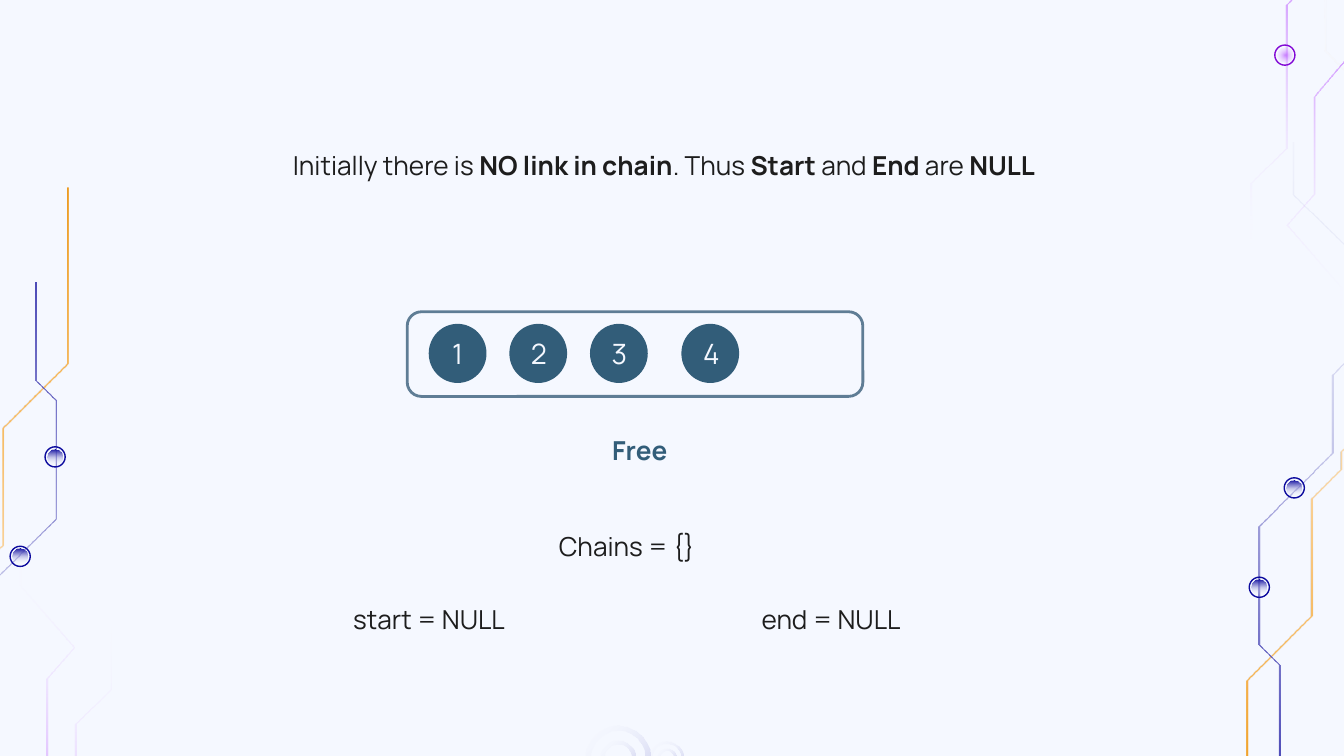
from dataclasses import dataclass
from math import cos, radians, sin

from pptx import Presentation
from pptx.dml.color import RGBColor
from pptx.enum.shapes import MSO_SHAPE
from pptx.enum.text import MSO_ANCHOR, MSO_AUTO_SIZE, PP_ALIGN
from pptx.oxml import parse_xml
from pptx.oxml.ns import nsdecls, qn
from pptx.util import Inches, Pt

OVAL, DONUT, ROUNDED = MSO_SHAPE.OVAL, MSO_SHAPE.DONUT, MSO_SHAPE.ROUNDED_RECTANGLE
CENTER, TOP, MIDDLE = PP_ALIGN.CENTER, MSO_ANCHOR.TOP, MSO_ANCHOR.MIDDLE
NO_AUTOFIT = MSO_AUTO_SIZE.NONE


@dataclass(frozen=True)
class Theme:
    font: str = "Manrope"
    background: str = "F5F8FF"
    ink: str = "1D1D1D"
    teal: str = "325D79"
    frame: str = "5F7D95"
    violet: str = "8208D5"
    indigo: str = "0C0A9E"
    body_size: float = 14
    chip_size: float = 15
    # Gradient stops: position %, colour, opacity %
    amber_fade: tuple = ((0, "EB9109", 100), (40, "FF9900", 41), (100, "FFFFFF", 0))
    indigo_fade: tuple = ((0, "0C0A9E", 100), (100, "FFFFFF", 0))
    violet_fade: tuple = ((0, "9900FF", 47), (100, "FFFFFF", 0))
    ring_fade: tuple = ((0, "0C0A9E", 20), (100, "FFFFFF", 0))


THEME = Theme()
HALF_TRACE = Inches(0.01) * 0.7

# Trace points in inches from the top left of their region
AMBER_TRACE = [(1.25, 0), (1.25, 1.31), (0.77, 1.79), (0.77, 2.66), (0.55, 2.88),
               (0.55, 3.01), (0.43, 3.13), (0.43, 3.67), (0.19, 3.91), (0.19, 4.27),
               (0.01, 4.44), (0.01, 5.32), (0.67, 5.99), (0.67, 6.75)]
INDIGO_TRACE = [(1.01, 0.7), (1.01, 1.43), (1.16, 1.58), (1.16, 2.46), (0.62, 3),
                (0.62, 3.58), (0.38, 3.83), (0.38, 4.4), (0.91, 4.92), (0.91, 5.31)]
INDIGO_NODES = [(1.16, 2), (0.9, 2.74)]
VIOLET_TRACES = [
    [(0.63, 0), (0.27, 0.36), (0.27, 1.42), (0.01, 1.68), (0.01, 2.16)],
    [(1.02, 0.4), (0.48, 1.04), (0.48, 1.76), (0.28, 1.99), (0.68, 2.45), (0.68, 2.68)],
]


def rgb(color):
    return RGBColor.from_string(color)


def fade(shape, stops, angle=None):
    """Gradient with opacity; no angle means radial from the centre."""
    marks = "".join(
        f'<a:gs pos="{pos * 1000}"><a:srgbClr val="{color}">'
        f'<a:alpha val="{alpha * 1000}"/></a:srgbClr></a:gs>'
        for pos, color, alpha in stops)
    if angle is None:
        course = ('<a:path path="circle"><a:fillToRect l="50000" t="50000" '
                  'r="50000" b="50000"/></a:path>')
    else:
        course = f'<a:lin ang="{angle * 60000}" scaled="0"/>'
    shape.fill.solid()
    properties = shape._element.spPr
    properties.replace(properties.find(qn("a:solidFill")), parse_xml(
        f'<a:gradFill {nsdecls("a")}><a:gsLst>{marks}</a:gsLst>{course}</a:gradFill>'))


def add_plain(slide, kind, left, top, width, height, line=None, weight=0.75):
    shape = slide.shapes.add_shape(
        kind, Inches(left), Inches(top), Inches(width), Inches(height))
    shape.shadow.inherit = False
    shape.fill.background()
    if line:
        shape.line.color.rgb = rgb(line)
        shape.line.width = Pt(weight)
    else:
        shape.line.fill.background()
    return shape


def add_runs(paragraph, runs, color, size):
    for text, bold in runs:
        run = paragraph.add_run()
        run.text = text
        run.font.name = THEME.font
        run.font.size = Pt(size)
        run.font.bold = bold
        run.font.color.rgb = rgb(color)


def locate(box, point, turned):
    """Region point to slide point, turned by half a circle if asked."""
    left, top, width, height = box
    x, y = point
    return (left + width - x, top + height - y) if turned else (left + x, top + y)


def rotate(point, degrees):
    x, y = point
    c, s = cos(radians(degrees)), sin(radians(degrees))
    return x * c - y * s, x * s + y * c


def add_trace(slide, box, points, stops, angle, rotation, turned):
    centers = [map(Inches, locate(box, point, turned)) for point in points]
    centers = [tuple(center) for center in centers]
    edge = ([(x - HALF_TRACE, y) for x, y in centers]
            + [(x + HALF_TRACE, y) for x, y in centers[::-1]])
    # Draw upright, then rotate the shape so that its gradient turns with it
    rotation += 180 if turned else 0
    outline = [rotate(point, -rotation) for point in edge]
    builder = slide.shapes.build_freeform(*outline[0])
    builder.add_line_segments(outline[1:], close=True)
    trace = builder.convert_to_shape()
    half_width, half_height = trace.width / 2, trace.height / 2
    x, y = rotate((trace.left + half_width, trace.top + half_height), rotation)
    trace.left, trace.top = round(x - half_width), round(y - half_height)
    trace.rotation = rotation
    trace.shadow.inherit = False
    trace.line.fill.background()
    fade(trace, stops, angle)


def add_node(slide, center, line, stops, angle=None):
    x, y = center
    add_plain(slide, OVAL, x - 0.075, y - 0.075, 0.15, 0.15, line)
    fade(add_plain(slide, OVAL, x - 0.055, y - 0.055, 0.11, 0.11), stops, angle)


def add_long_circuit(slide, box, turned=False):
    add_trace(slide, box, AMBER_TRACE, THEME.amber_fade, 45, 45, turned)
    add_trace(slide, box, INDIGO_TRACE, THEME.indigo_fade, 90, 45, turned)
    for node in INDIGO_NODES:
        add_node(slide, locate(box, node, turned), THEME.indigo, THEME.indigo_fade, 90)


def add_violet_circuit(slide, box, turned=False):
    for points in VIOLET_TRACES:
        add_trace(slide, box, points, THEME.violet_fade, 90, 0, turned)
    if not turned:
        add_node(slide, locate(box, (0.26, 0.73), turned), THEME.violet, THEME.violet_fade)


def add_rings(slide, box):
    left, top = box[:2]
    for x, size, band in ((0.24, 0.48, 0.04), (0.24, 0.26, 0.03),
                          (0.6, 0.25, 0.02), (0.6, 0.14, 0.02)):
        ring = add_plain(slide, DONUT, left + x - size / 2, top + 0.24 - size / 2, size, size)
        ring.adjustments[0] = band / size
        fade(ring, THEME.ring_fade, 225)


def set_frame(frame, anchor):
    frame.word_wrap = True
    frame.auto_size = NO_AUTOFIT
    frame.vertical_anchor = anchor
    frame.margin_left = frame.margin_right = Inches(0.1)
    frame.margin_top = frame.margin_bottom = Inches(0.1)


def fill_placeholder(holder, box, paragraphs, color, gap=0):
    holder.left, holder.top, holder.width, holder.height = map(Inches, box)
    frame = holder.text_frame
    set_frame(frame, TOP)
    for index, runs in enumerate(paragraphs):
        paragraph = frame.add_paragraph() if index else frame.paragraphs[0]
        paragraph.alignment = CENTER
        paragraph.line_spacing = 1.15
        paragraph.space_before = Pt(gap if index else 0)
        add_runs(paragraph, runs, color, THEME.body_size)


def add_free_list(slide, box):
    left, top, width, height = box
    frame = add_plain(slide, ROUNDED, left, top, width, height, THEME.frame, 1.5)
    frame.adjustments[0] = 0.167
    for number, x in enumerate((0.16, 0.76, 1.36, 2.04), start=1):
        chip = add_plain(slide, OVAL, left + x, top + 0.09, 0.43, 0.44)
        chip.fill.solid()
        chip.fill.fore_color.rgb = rgb(THEME.teal)
        set_frame(chip.text_frame, MIDDLE)
        label = chip.text_frame.paragraphs[0]
        label.alignment = CENTER
        add_runs(label, [(str(number), False)], THEME.background, THEME.chip_size)


def main():
    deck = Presentation()
    deck.slide_width, deck.slide_height = Inches(10), Inches(10) * 9 // 16
    # Default tab stops of one inch
    for root in (deck.element, deck.slide_master.element):
        for level in root.xpath(".//*[@defTabSz]"):
            level.set("defTabSz", str(Inches(1) + 0))
    slide = deck.slides.add_slide(deck.slide_layouts[4])
    slide.background.fill.solid()
    slide.background.fill.fore_color.rgb = rgb(THEME.background)
    holders = {h.placeholder_format.idx: h for h in slide.placeholders}
    # Circuit decoration
    add_long_circuit(slide, (-0.75, 1.4, 1.26, 6.75))
    add_violet_circuit(slide, (-0.2, 4.13, 1.03, 2.68), turned=True)
    add_long_circuit(slide, (9.27, -0.38, 1.26, 6.75), turned=True)
    add_violet_circuit(slide, (9.3, -0.32, 1.03, 2.68))
    add_rings(slide, (4.36, 5.4, 0.73, 0.48))
    # Statement, free list and state of the chain
    fill_placeholder(holders[0], (1.03, 0.98, 7.82, 0.98), [[
        ("Initially there is ", False), ("NO link in chain", True), (". Thus ", False),
        ("Start", True), (" and ", False), ("End", True), (" are ", False),
        ("NULL", True)]], THEME.ink)
    add_free_list(slide, (3.03, 2.32, 3.39, 0.63))
    fill_placeholder(holders[1], (4.19, 3.1, 1.14, 0.5), [[("Free", True)]], THEME.teal)
    fill_placeholder(holders[3], (1.07, 3.81, 7.19, 0.98), [
        [("Chains = {}", False)], [("start = NULL\t\t end = NULL", False)]], THEME.ink, gap=20)
    for unused in (holders[2], holders[4]):
        unused.element.getparent().remove(unused.element)
    deck.save("out.pptx")


if __name__ == "__main__":
    main()
